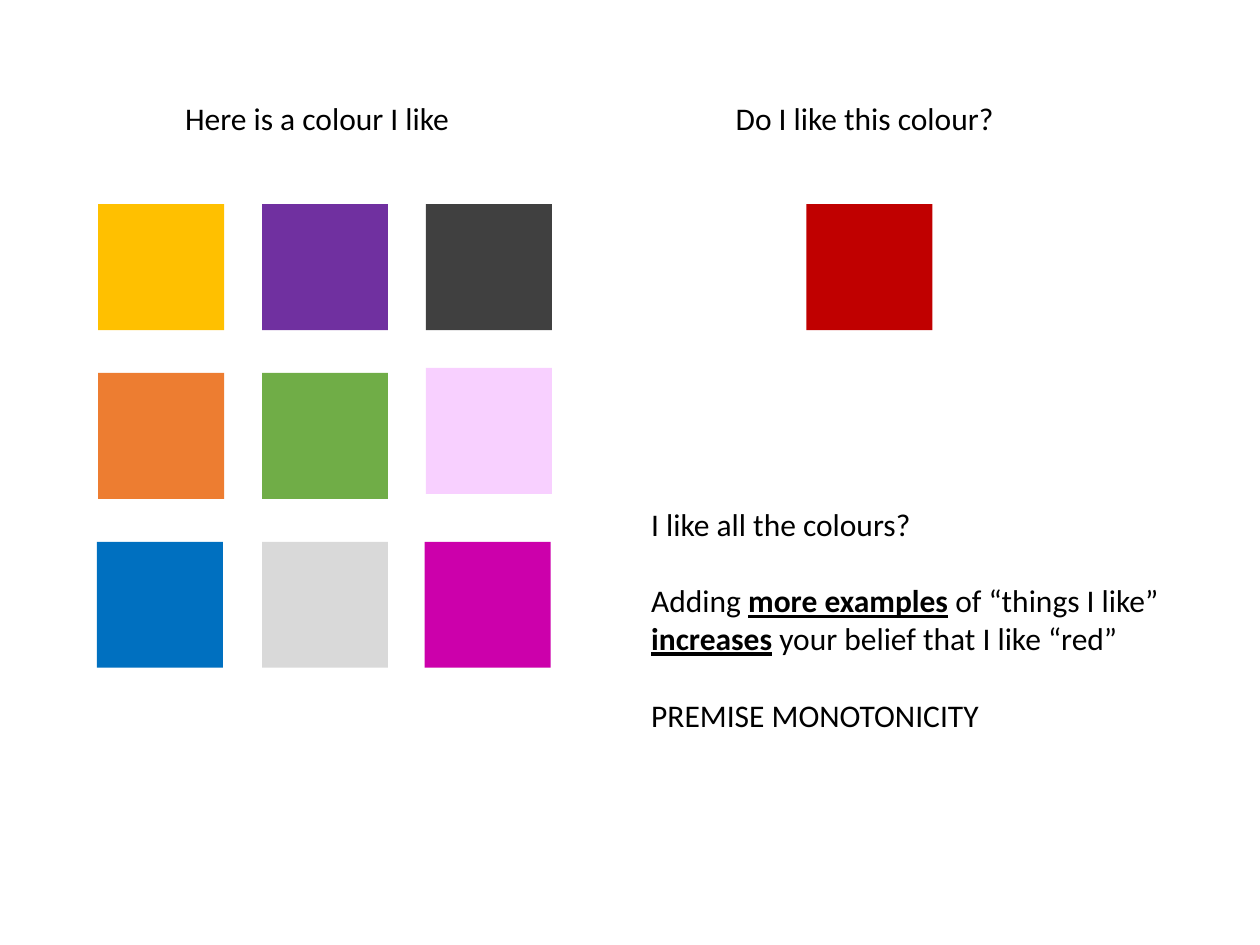
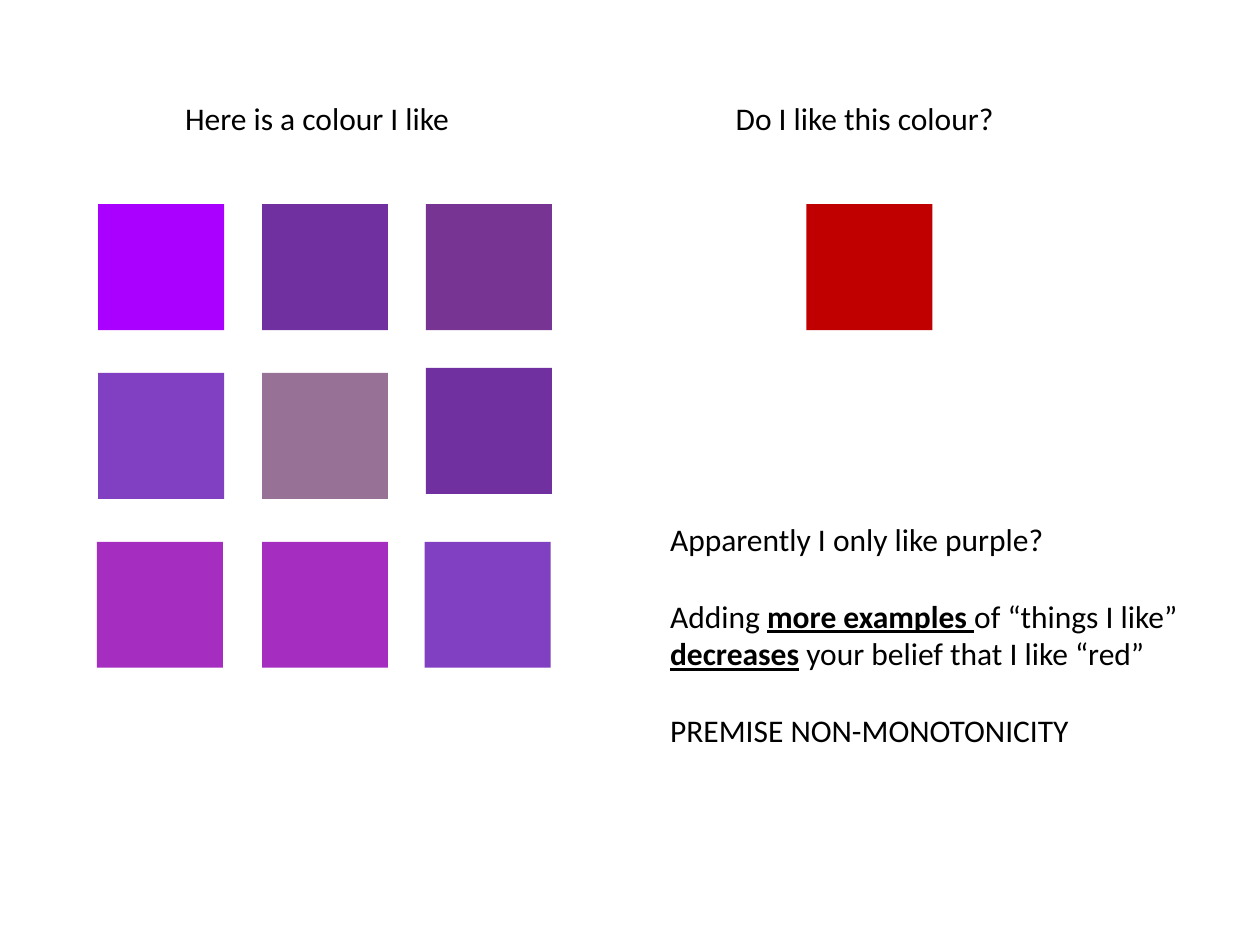
from itertools import product

from pptx import Presentation
from pptx.dml.color import RGBColor
from pptx.enum.shapes import MSO_SHAPE as Shape
from pptx.enum.text import MSO_AUTO_SIZE as AutoSize, PP_ALIGN as Align
from pptx.util import Pt

EMU_PER_PX = 9144  # 100 px to the inch
SLIDE_SIZE = (1000, 750)
SWATCH_SIZE = 100
GRID_LEFT, GRID_TOP = 78, 162
COLUMN_PITCH, ROW_PITCH = 130, 134
# Small shifts of single swatches: (row, column) -> (x, y)
NUDGES = {(1, 2): (0, -4), (2, 0): (-1, 0), (2, 2): (-1, 0)}

COLOURS = {
    "text": "000000", "red": "C00000", "purple": "7030A0",
    "yellow": "FFC000", "charcoal": "404040", "orange": "ED7D31",
    "green": "70AD47", "pink": "F8D0FF", "blue": "0070C0",
    "grey": "D9D9D9", "magenta": "CC00AB", "violet": "AA00FF",
    "plum": "773492", "iris": "8040C1", "mauve": "987296", "orchid": "A52EC1",
}


def px(length):
    return length * EMU_PER_PX


class Deck:
    font_name = "Calibri"
    font_size = Pt(18)
    paragraph_gap = Pt(22)

    def __init__(self):
        self.presentation = Presentation()
        self.presentation.slide_width, self.presentation.slide_height = map(px, SLIDE_SIZE)
        self.slide = None

    def new_slide(self):
        self.slide = self.presentation.slides.add_slide(self.presentation.slide_layouts[6])

    def text(self, box, paragraphs, wrap=True):
        """Each paragraph is a list of runs; every second run is bold and underlined."""
        frame = self.slide.shapes.add_textbox(*map(px, box)).text_frame
        frame.word_wrap = wrap
        frame.auto_size = AutoSize.SHAPE_TO_FIT_TEXT
        for index, runs in enumerate(paragraphs):
            paragraph = frame.add_paragraph() if index else frame.paragraphs[0]
            paragraph.alignment = Align.LEFT
            if index:
                paragraph.space_before = self.paragraph_gap
            paragraph.font.name = self.font_name
            paragraph.font.size = self.font_size
            paragraph.font.color.rgb = RGBColor.from_string(COLOURS["text"])
            for position, words in enumerate(runs):
                run = paragraph.add_run()
                run.text = words
                if position % 2:
                    run.font.bold = run.font.underline = True

    def swatch(self, left, top, colour):
        box = (left, top, SWATCH_SIZE, SWATCH_SIZE)
        shape = self.slide.shapes.add_shape(Shape.RECTANGLE, *map(px, box))
        shape.shadow.inherit = False
        shape.fill.solid()
        shape.fill.fore_color.rgb = RGBColor.from_string(COLOURS[colour])
        shape.line.fill.background()

    def swatch_grid(self, rows):
        for row, column in product(range(3), repeat=2):
            shift_x, shift_y = NUDGES.get((row, column), (0, 0))
            self.swatch(GRID_LEFT + column * COLUMN_PITCH + shift_x,
                        GRID_TOP + row * ROW_PITCH + shift_y, rows[row][column])

    def colour_question(self, liked, conclusion_box, conclusion):
        self.new_slide()
        self.text((137, 74, 241, 40), [["Here is a colour I like"]], wrap=False)
        self.text((574, 74, 232, 40), [["Do I like this colour?"]], wrap=False)
        self.swatch_grid(liked)
        self.swatch(640, GRID_TOP, "red")
        self.text(conclusion_box, conclusion)


def main():
    deck = Deck()
    deck.colour_question(
        [["yellow", "purple", "charcoal"],
         ["orange", "green", "pink"],
         ["blue", "grey", "magenta"]],
        (507, 396, 466, 192),
        [["I like all the colours?"],
         ["Adding ", "more examples", " of “things I like” ",
          "increases", " your belief that I like “red”"],
         ["PREMISE MONOTONICITY"]])
    deck.colour_question(
        [["violet", "purple", "plum"],
         ["iris", "mauve", "purple"],
         ["orchid", "orchid", "iris"]],
        (522, 408, 453, 192),
        [["Apparently I only like purple?"],
         ["Adding ", "more examples ", "of “things I like” ",
          "decreases", " your belief that I like “red”"],
         ["PREMISE NON-MONOTONICITY"]])
    deck.presentation.save("out.pptx")


if __name__ == "__main__":
    main()
